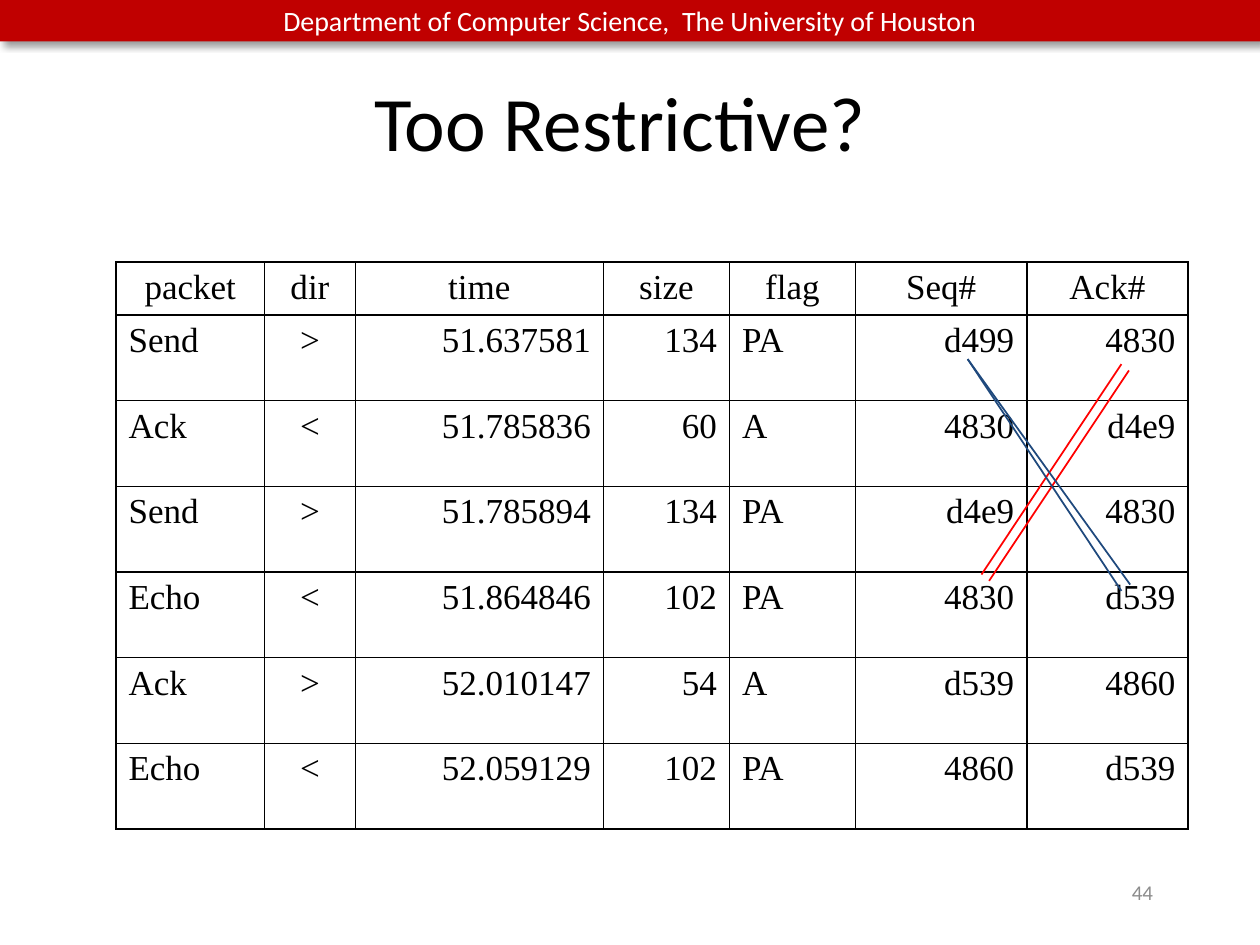
import pptx
import pptx.dml.color
import pptx.enum.shapes
import pptx.enum.text
import pptx.oxml
import pptx.oxml.ns
import pptx.util
from lxml import etree

Inches, Pt = pptx.util.Inches, pptx.util.Pt
ALIGN = pptx.enum.text.PP_ALIGN
MIDDLE = pptx.enum.text.MSO_ANCHOR.MIDDLE
qn = pptx.oxml.ns.qn

WIDTH, HEIGHT = 10, 7.5
BAR_HEIGHT = 0.33
HEADING_FONT, TABLE_FONT = "Calibri", "Times New Roman"
BLACK, WHITE, CRIMSON, GREY = "000000", "FFFFFF", "C00000", "8C8C8C"
RED, NAVY = "FF0000", "1F497D"

HEADERS = ["packet", "dir", "time", "size", "flag", "Seq#", "Ack#"]
PACKETS = [
    ["Send", ">", "51.637581", "134", "PA", "d499", "4830"],
    ["Ack", "<", "51.785836", "60", "A", "4830", "d4e9"],
    ["Send", ">", "51.785894", "134", "PA", "d4e9", "4830"],
    ["Echo", "<", "51.864846", "102", "PA", "4830", "d539"],
    ["Ack", ">", "52.010147", "54", "A", "d539", "4860"],
    ["Echo", "<", "52.059129", "102", "PA", "4860", "d539"],
]
COLUMN_WIDTHS = [1.18, 0.72, 1.97, 1, 1, 1.36, 1.28]
COLUMN_ALIGNS = [ALIGN.JUSTIFY, ALIGN.CENTER, ALIGN.RIGHT, ALIGN.RIGHT,
                 ALIGN.JUSTIFY, ALIGN.RIGHT, ALIGN.RIGHT]
HEADER_HEIGHT, ROW_HEIGHT = 0.42, 0.68
HANGING = 0.38

SEQ_TO_ACK = [((8.9, 4.69), (7.68, 2.85)), ((8.97, 4.64), (7.68, 2.85))]
ACK_TO_SEQ = [((7.79, 4.56), (8.9, 2.89)), ((7.85, 4.61), (8.96, 2.94))]


def color(value):
    return pptx.dml.color.RGBColor.from_string(value)


def write(frame, text, size, font, fill, align):
    frame.text = text
    frame.word_wrap = True
    para = frame.paragraphs[0]
    para.alignment = align
    for span in para.runs:
        span.font.size = Pt(size)
        span.font.name = font
        span.font.color.rgb = color(fill)
    return para


def add_shadow(shape):
    """Cast a soft shadow to the lower right."""
    shape.shadow.inherit = False
    effects = shape._element.spPr.find(qn("a:effectLst"))
    shadow = etree.SubElement(effects, qn("a:outerShdw"), blurRad=str(Pt(4)),
                              dist=str(Pt(3)), dir=str(45 * 60000),
                              algn="tl", rotWithShape="0")
    tint = etree.SubElement(shadow, qn("a:srgbClr"), val=BLACK)
    etree.SubElement(tint, qn("a:alpha"), val="40000")


def add_banner(page, text):
    banner = page.shapes.add_shape(pptx.enum.shapes.MSO_SHAPE.RECTANGLE, 0, 0,
                                   Inches(WIDTH), Inches(BAR_HEIGHT))
    banner.fill.solid()
    banner.fill.fore_color.rgb = color(CRIMSON)
    banner.line.fill.background()
    add_shadow(banner)
    banner.text_frame.vertical_anchor = MIDDLE
    write(banner.text_frame, text, 16, HEADING_FONT, WHITE, ALIGN.CENTER)


def set_title(page, text):
    title = page.shapes.title
    title.left, title.top = Inches(0.67), Inches(BAR_HEIGHT)
    title.width, title.height = Inches(8.5), Inches(1.25)
    title.text_frame.vertical_anchor = MIDDLE
    write(title.text_frame, text, 44, HEADING_FONT, BLACK, ALIGN.CENTER)


def add_borders(cell):
    properties = cell._tc.get_or_add_tcPr()
    for side in ("a:lnL", "a:lnR", "a:lnT", "a:lnB"):
        line = etree.SubElement(properties, qn(side), w=str(Pt(1)))
        fill = etree.SubElement(line, qn("a:solidFill"))
        etree.SubElement(fill, qn("a:srgbClr"), val=BLACK)


def fill_cell(cell, text, align):
    para = write(cell.text_frame, text, 20, TABLE_FONT, BLACK, align)
    indents = para._p.get_or_add_pPr()
    indents.set("marL", str(Inches(HANGING)))
    indents.set("indent", str(-Inches(HANGING)))
    add_borders(cell)
    cell.fill.background()


def add_packet_table(page):
    rows = [HEADERS] + PACKETS
    heights = [HEADER_HEIGHT] + [ROW_HEIGHT] * len(PACKETS)
    frame = page.shapes.add_table(len(rows), len(HEADERS), Inches(0.92), Inches(2.08),
                                  Inches(sum(COLUMN_WIDTHS)), Inches(sum(heights)))
    table = frame.table
    table.first_row = table.horz_banding = False
    for column, width in zip(table.columns, COLUMN_WIDTHS):
        column.width = Inches(width)
    for r, (row, height) in enumerate(zip(rows, heights)):
        table.rows[r].height = Inches(height)
        for c, text in enumerate(row):
            align = COLUMN_ALIGNS[c] if r else ALIGN.CENTER
            fill_cell(table.cell(r, c), text, align)


def add_page_number(page, number):
    box = page.shapes.add_textbox(Inches(7.17), Inches(6.83), Inches(2.08), Inches(0.5))
    box.text_frame.vertical_anchor = MIDDLE
    write(box.text_frame, number, 12, HEADING_FONT, GREY, ALIGN.RIGHT)


def add_line_pair(page, lines, stroke):
    """Group the lines that link matching sequence and ack numbers."""
    group = page.shapes.add_group_shape()
    for start, end in lines:
        line = group.shapes.add_connector(pptx.enum.shapes.MSO_CONNECTOR.STRAIGHT,
                                          *map(Inches, start + end))
        line.line.color.rgb = color(stroke)
        line.line.width = Pt(1)
        etree.SubElement(line._element.spPr, qn("a:effectLst"))


def main():
    deck = pptx.Presentation()
    deck.slide_width, deck.slide_height = Inches(WIDTH), Inches(HEIGHT)
    page = deck.slides.add_slide(deck.slide_layouts.get_by_name("Title Only"))
    add_banner(page, "Department of Computer Science,  The University of Houston")
    set_title(page, "Too Restrictive?")
    add_packet_table(page)
    add_page_number(page, "44")
    add_line_pair(page, ACK_TO_SEQ, RED)
    add_line_pair(page, SEQ_TO_ACK, NAVY)
    deck.save("out.pptx")


if __name__ == "__main__":
    main()
